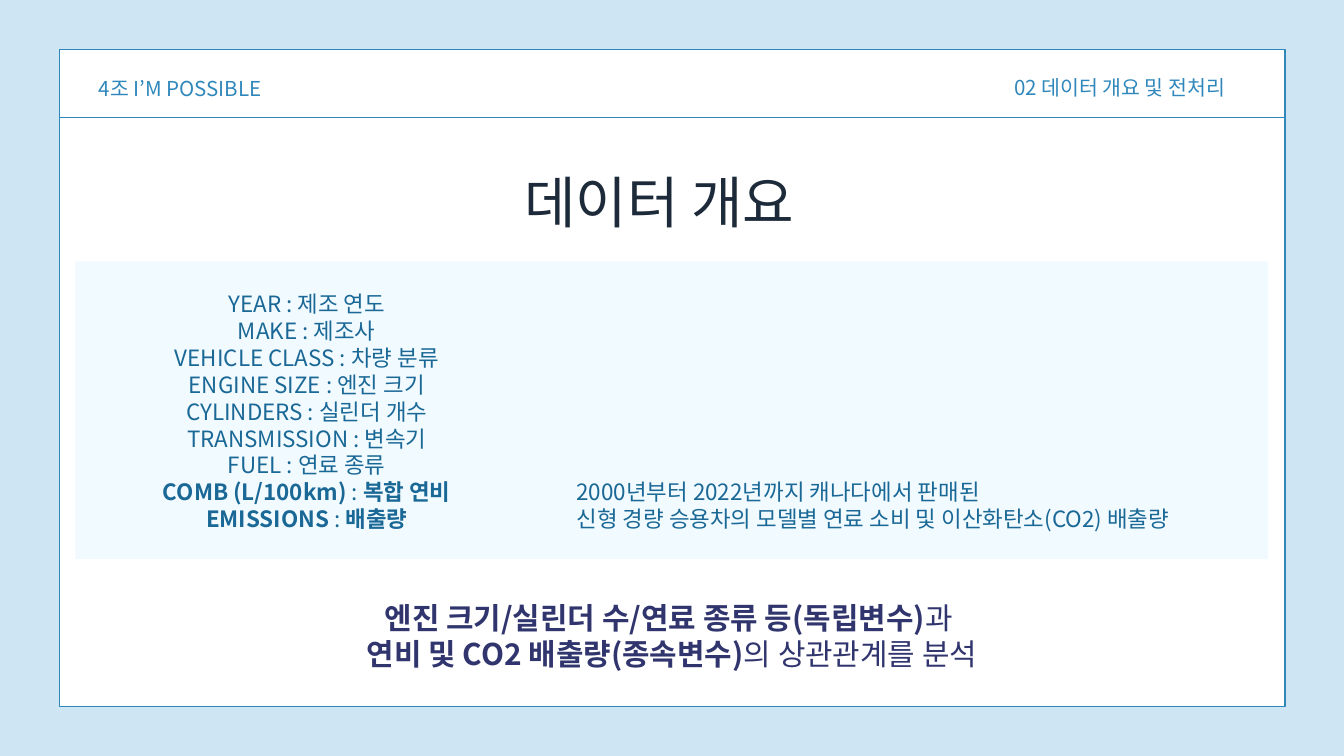
from pptx import Presentation
from pptx import util as u
from pptx.dml.color import RGBColor
from pptx.enum import shapes, text
from pptx.oxml.ns import qn

SKY = RGBColor(0xCE, 0xE6, 0xF4)
WHITE = RGBColor(0xFF, 0xFF, 0xFF)
PALE = RGBColor(0xF1, 0xFA, 0xFF)
BLUE = RGBColor(0x30, 0x87, 0xBB)
DEEP_BLUE = RGBColor(0x1A, 0x68, 0x96)
NAVY = RGBColor(0x31, 0x35, 0x6E)
INK = RGBColor(0x1D, 0x2A, 0x3A)

LEFT = text.PP_ALIGN.LEFT
CENTER = text.PP_ALIGN.CENTER
JUSTIFY = text.PP_ALIGN.JUSTIFY

COLUMNS = [
    ("YEAR", "제조 연도"),
    ("MAKE", "제조사"),
    ("VEHICLE CLASS", "차량 분류"),
    ("ENGINE SIZE", "엔진 크기"),
    ("CYLINDERS", "실린더 개수"),
    ("TRANSMISSION", "변속기"),
    ("FUEL", "연료 종류"),
]
KEY_COLUMNS = [("COMB (L/100km)", "복합 연비"), ("EMISSIONS", "배출량")]


class Page:
    """Holds the style and the current slide."""

    font = "Noto Sans CJK KR"
    line_width = u.Pt(1.5)

    def __init__(self, deck, background):
        self.slide = deck.slides.add_slide(deck.slide_layouts[6])
        fill = self.slide.background.fill
        fill.solid()
        fill.fore_color.rgb = background

    def panel(self, area, color, outline=None):
        box = self.slide.shapes.add_shape(
            shapes.MSO_SHAPE.RECTANGLE, *map(u.Inches, area))
        box.shadow.inherit = False
        box.fill.solid()
        box.fill.fore_color.rgb = color
        if outline is None:
            box.line.fill.background()
        else:
            box.line.color.rgb = outline
            box.line.width = self.line_width

    def rule(self, start, end, color):
        line = self.slide.shapes.add_connector(
            shapes.MSO_CONNECTOR.STRAIGHT, *map(u.Inches, start + end))
        line.line.color.rgb = color
        line.line.width = self.line_width
        line._element.spPr.append(
            line._element.makeelement(qn("a:effectLst"), {}))

    def text_block(self, area, lines, size, color, spacing, align=LEFT):
        """Each line is a list of (words, bold) spans."""
        box = self.slide.shapes.add_textbox(*map(u.Inches, area))
        frame = box.text_frame
        frame_format = {"word_wrap": True, "margin_left": 0, "margin_top": 0,
                        "margin_right": 0, "margin_bottom": 0}
        for name, value in frame_format.items():
            setattr(frame, name, value)
        for index, spans in enumerate(lines):
            para = frame.add_paragraph() if index else frame.paragraphs[0]
            para.alignment = align
            para.line_spacing = u.Pt(spacing)
            for words, bold in spans:
                span = para.add_run()
                span.text = words
                span_format = {"name": self.font, "size": u.Pt(size), "bold": bold}
                for name, value in span_format.items():
                    setattr(span.font, name, value)
                span.font.color.rgb = color
                # Hangul takes the East Asian typeface
                props = span._r.get_or_add_rPr()
                props.append(props.makeelement(
                    qn("a:ea"), {"typeface": self.font}))


def main():
    deck = Presentation()
    deck.slide_width, deck.slide_height = u.Inches(20), u.Inches(11.25)
    page = Page(deck, SKY)

    # Frame, header rule and content panel
    page.panel((0.89, 0.74, 18.23, 9.77), WHITE, BLUE)
    page.rule((0.89, 1.75), (19.11, 1.75), BLUE)
    page.panel((1.12, 3.89, 17.75, 4.43), PALE)

    # Title
    page.text_block((7.8, 2.33, 4.42, 1.14), [[("데이터 개요", False)]],
                    60, INK, 84, JUSTIFY)

    # Data set description
    page.text_block((8.58, 7.11, 9.61, 0.79), [
        [("2000년부터 2022년까지 캐나다에서 판매된", False)],
        [("신형 경량 승용차의 모델별 연료 소비 및 이산화탄소(CO2) 배출량", False)],
    ], 24, DEEP_BLUE, 28.8)

    # Purpose of the analysis
    page.text_block((4.77, 8.93, 10.46, 1.06), [
        [("엔진 크기/실린더 수/연료 종류 등(독립변수)", True), ("과 ", False)],
        [("연비 및 CO2 배출량(종속변수)", True), ("의 상관관계를 분석", False)],
    ], 32, NAVY, 38.4, CENTER)

    # Column list, with the key columns in bold
    lines = [[(f"{name} : {meaning}", False)] for name, meaning in COLUMNS]
    lines += [[(name, True), (" : ", False), (meaning, True)]
              for name, meaning in KEY_COLUMNS]
    page.text_block((2.28, 4.32, 4.57, 3.56), lines, 24, DEEP_BLUE, 28.8, CENTER)

    # Header
    page.text_block((1.47, 1.07, 3.22, 0.41), [[("4조 I’M POSSIBLE", False)]],
                    22, BLUE, 30.8)
    page.text_block((15.09, 1.12, 3.58, 0.36),
                    [[("02 데이터 개요 및 전처리", False)]], 22, BLUE, 26.4)

    deck.save("out.pptx")


if __name__ == "__main__":
    main()
